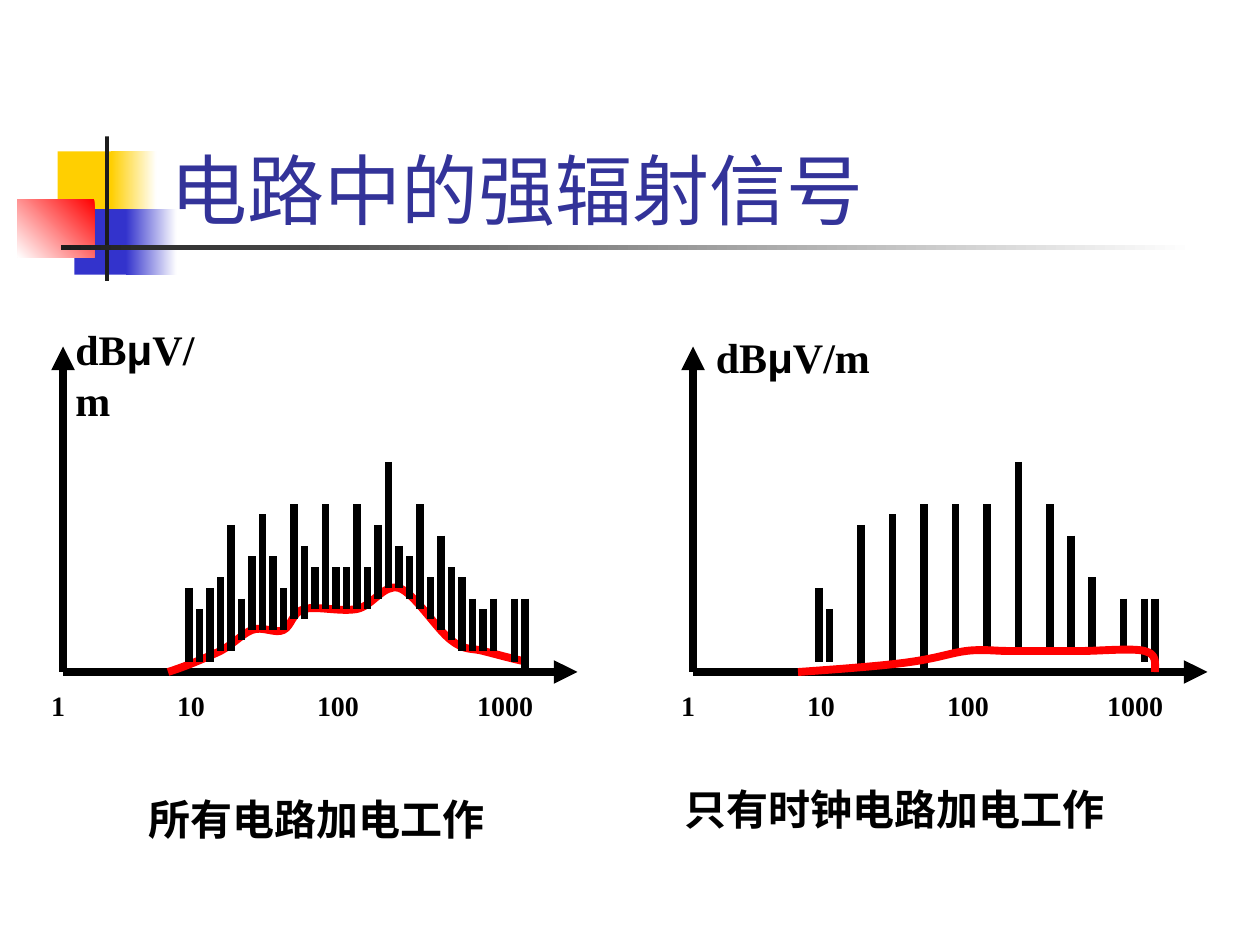
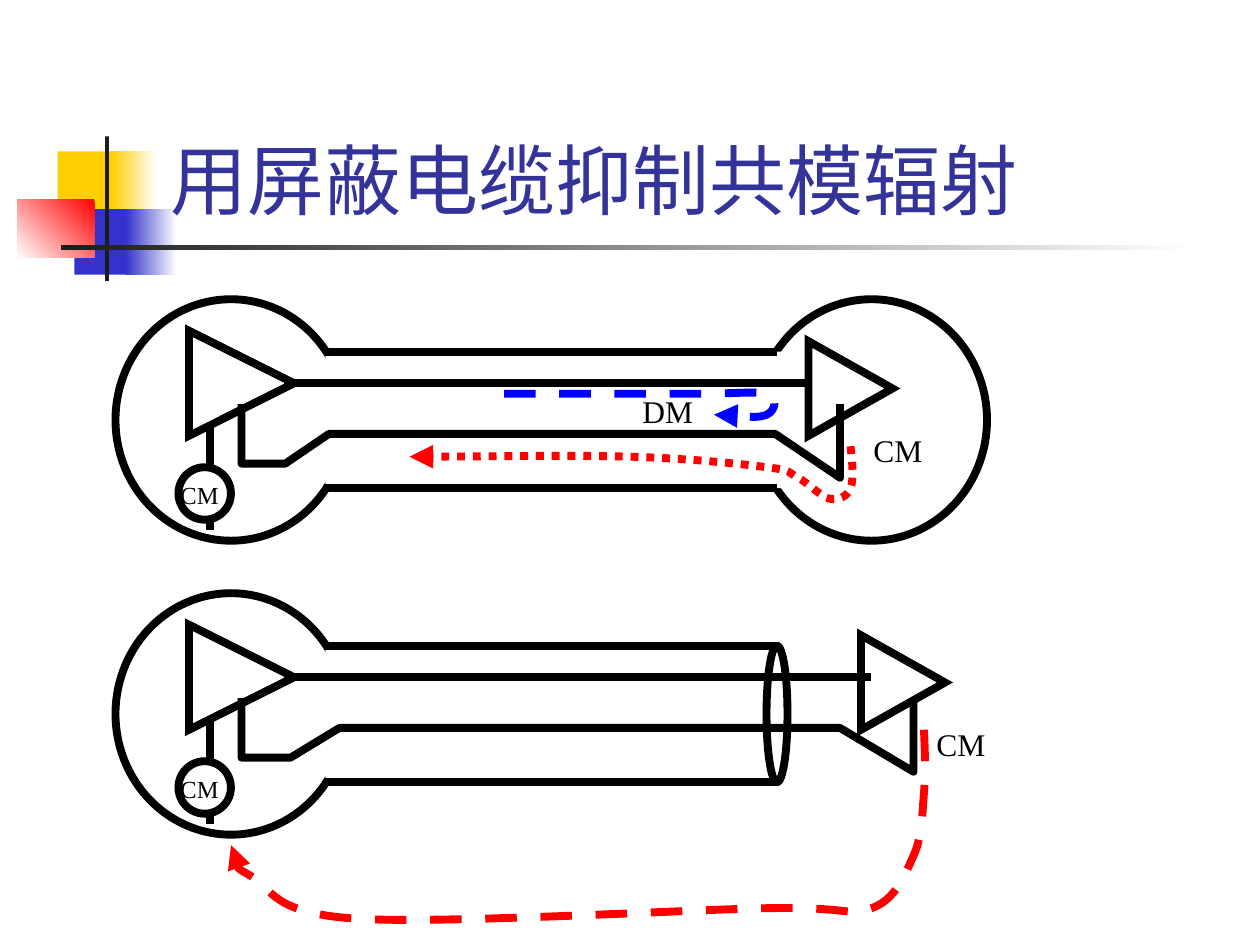
from lxml.etree import SubElement
from pptx import Presentation
from pptx.dml.color import RGBColor
from pptx.enum.dml import MSO_LINE
from pptx.enum.shapes import MSO_CONNECTOR, MSO_SHAPE
from pptx.enum.text import MSO_ANCHOR
from pptx.oxml.ns import qn
from pptx.util import Pt

# Colours, fonts and the common stroke
BLACK = RGBColor(0x00, 0x00, 0x00)
WHITE = RGBColor(0xFF, 0xFF, 0xFF)
RED = RGBColor(0xFF, 0x00, 0x00)
BLUE = RGBColor(0x00, 0x00, 0xFF)
YELLOW = RGBColor(0xFF, 0xCF, 0x01)
INDIGO = RGBColor(0x33, 0x33, 0xCC)
CHARCOAL = RGBColor(0x1C, 0x1C, 0x1C)
TITLE_COLOR = RGBColor(0x33, 0x33, 0x99)
TITLE_FONT = "Cabin"
BODY_FONT = "Times New Roman"
SYMBOL_FONT = "Arial"
STROKE = 4.5

# Spectrum plots: positions count in steps of 6 pt from the origin
STEP = 6
BASELINE = 384
AXIS_HEIGHT, AXIS_LENGTH = 31, 49
DECADE_TABS = (72, 152, 243.5)

# Spectral lines: (column, bottom, top)
ALL_CIRCUITS = [
    (12, 1, 8), (13, 1, 6), (14, 1, 8), (15, 2, 9), (16, 2, 14), (17, 3, 7),
    (18, 4, 11), (19, 4, 15), (20, 4, 11), (21, 4, 8), (22, 5, 16),
    (23, 5, 12), (24, 6, 10), (25, 6, 16), (26, 6, 10), (27, 6, 10),
    (28, 6, 16), (29, 6, 10), (30, 7, 14), (31, 8, 20), (32, 8, 12),
    (33, 7, 11), (34, 6, 16), (35, 5, 9), (36, 4, 13), (37, 3, 10),
    (38, 2, 9), (39, 2, 7), (40, 2, 6), (41, 2, 7), (43, 1, 7), (44, 0, 7),
]
CLOCK_ONLY = [
    (12, 1, 8), (13, 1, 6), (16, 0, 14), (19, 1, 15), (22, 0, 16),
    (25, 2, 16), (28, 2, 16), (31, 2, 20), (34, 2, 16), (36, 2, 13),
    (38, 2, 9), (41, 2, 7), (43, 1, 7), (44, 0, 7),
]

# Curves: a start point, then two control points and an end point per segment
ALL_ENVELOPE = [
    (10, 0), (11.9, 0.6), (13.7, 1.4), (15, 2), (16.3, 2.7), (17, 3.6),
    (18, 4), (19, 4.4), (20.2, 3.6), (21, 4), (21.8, 4.4), (21.8, 5.7),
    (23, 6), (24.1, 6.3), (26.5, 5.7), (28, 6), (29.5, 6.3), (30.5, 8.4),
    (32, 8), (33.5, 7.5), (35.6, 4), (37, 3), (38.3, 2), (38.9, 2.3),
    (40, 2), (41.2, 1.7), (42.6, 1.3), (44, 1),
]
CLOCK_ENVELOPE = [
    (10, 0), (14.2, 0.3), (18.4, 0.6), (21, 1), (23.6, 1.4), (24.5, 1.8),
    (26, 2), (27.5, 2.2), (28.8, 2), (30, 2), (31.2, 2), (31.8, 2), (33, 2),
    (34.2, 2), (35.3, 2), (37, 2), (38.7, 2), (41.9, 2.3), (43, 2),
    (44.2, 1.7), (44, 0.9), (44, 0),
]
DIFFERENTIAL_CURRENT = [
    (288, 225), (330, 225), (371, 225), (396, 225), (421, 225), (431, 223.5),
    (438, 225), (445, 227), (443, 235), (438, 237), (433, 239), (413, 237),
    (408, 237),
]
COMMON_CURRENT = [
    (486, 255), (487, 264), (488, 274), (486, 279), (484, 284), (479, 286),
    (474, 285), (469, 284), (462, 276), (456, 273), (450, 270), (454, 269),
    (438, 267), (422, 265), (394, 262), (360, 261), (326, 260), (280, 261),
    (234, 261),
]
GROUND_CURRENT = [
    (528, 417), (528.5, 429), (529, 441), (528, 453), (527, 465), (527, 478),
    (522, 489), (517, 500), (512, 514), (498, 519), (484, 524), (487, 518),
    (438, 519), (389, 520), (253, 528), (204, 525), (155, 522), (156, 508),
    (144, 501), (132, 494), (132, 488), (132, 483),
]


# Basic elements
def style_line(line, color=BLACK, dash=None, arrow=False):
    line.color.rgb = color
    line.width = Pt(STROKE)
    if dash:
        line.dash_style = dash
    if arrow:
        SubElement(line._get_or_add_ln(), qn("a:tailEnd"), type="triangle")


def add_line(slide, start, end, arrow=False):
    connector = slide.shapes.add_connector(
        MSO_CONNECTOR.STRAIGHT, *map(Pt, start + end))
    style_line(connector.line, arrow=arrow)
    SubElement(connector._element.spPr, qn("a:effectLst"))


def add_block(slide, box, color, fade_angle=None):
    """A borderless rectangle, solid or fading to white."""
    shape = slide.shapes.add_shape(MSO_SHAPE.RECTANGLE, *map(Pt, box))
    shape.shadow.inherit = False
    shape.line.fill.background()
    if fade_angle is None:
        shape.fill.solid()
        shape.fill.fore_color.rgb = color
    else:
        shape.fill.gradient()
        shape.fill.gradient_angle = fade_angle
        for stop, stop_color in zip(shape.fill.gradient_stops, (color, WHITE)):
            stop.color.rgb = stop_color


def add_outline(slide, kind, box):
    shape = slide.shapes.add_shape(kind, *map(Pt, box))
    shape.shadow.inherit = False
    shape.fill.background()
    style_line(shape.line)
    return shape


def add_amplifier(slide, box):
    triangle = add_outline(slide, MSO_SHAPE.ISOSCELES_TRIANGLE, box)
    triangle.rotation = 90
    SubElement(triangle.line._get_or_add_ln(), qn("a:miter"), lim="800000")


def add_polyline(slide, points, color=BLACK, dash=None, arrow=False):
    vertices = [(Pt(x), Pt(y)) for x, y in points]
    builder = slide.shapes.build_freeform(*vertices[0], scale=1.0)
    builder.add_line_segments(vertices[1:], close=False)
    shape = builder.convert_to_shape()
    shape.shadow.inherit = False
    shape.fill.background()
    style_line(shape.line, color, dash, arrow)
    return shape


def add_curve(slide, points, color, dash=None, arrow=False):
    """Turn each three straight segments into one Bézier segment."""
    shape = add_polyline(slide, points, color, dash, arrow)
    outline = shape._element.find(".//" + qn("a:path"))
    segments = outline.findall(qn("a:lnTo"))
    for index in range(0, len(segments), 3):
        bezier = SubElement(outline, qn("a:cubicBezTo"))
        for segment in segments[index:index + 3]:
            bezier.append(segment[0])
            outline.remove(segment)


def format_run(run, size, bold=False, font=BODY_FONT, color=BLACK):
    run.font.size = Pt(size)
    run.font.bold = bold
    run.font.name = font
    run.font.color.rgb = color


def add_text(slide, box, text, size, **run_format):
    text_box = slide.shapes.add_textbox(*map(Pt, box))
    text_frame = text_box.text_frame
    text_frame.word_wrap = True
    text_frame.text = text
    for run in text_frame.paragraphs[0].runs:
        format_run(run, size, **run_format)
    return text_frame


def add_unit_label(slide, box):
    paragraph = add_text(slide, box, "dB", 24, bold=True).paragraphs[0]
    for text, font in (("μ", SYMBOL_FONT), ("V/m", BODY_FONT)):
        run = paragraph.add_run()
        run.text = text
        format_run(run, 24, bold=True, font=font)


# Shared slide frame
def add_titled_slide(presentation, title, title_top):
    slide = presentation.slides.add_slide(presentation.slide_layouts[6])
    add_block(slide, (33, 86.5, 34.5, 37.5), YELLOW)
    add_block(slide, (63.5, 86.5, 26, 37.5), YELLOW, 0)
    add_block(slide, (42.5, 119.5, 33, 37.5), INDIGO)
    add_block(slide, (72, 119.5, 29, 37.5), INDIGO, 0)
    add_block(slide, (10, 113.8, 44, 33.2), RED, 225)
    add_block(slide, (60, 78, 2.3, 82.5), CHARCOAL)
    add_block(slide, (34.8, 140.2, 648, 2.4), CHARCOAL, 0)
    text_frame = add_text(slide, (90.5, title_top, 613.5, 90), title, 44,
                          font=TITLE_FONT, color=TITLE_COLOR)
    text_frame.vertical_anchor = MSO_ANCHOR.BOTTOM
    return slide


# Spectrum plots
def plot_point(origin, column, level):
    return origin + STEP * column, BASELINE - STEP * level


def add_axes(slide, origin):
    corner = plot_point(origin, 0, 0)
    add_line(slide, corner, plot_point(origin, 0, AXIS_HEIGHT), arrow=True)
    add_line(slide, corner, plot_point(origin, AXIS_LENGTH, 0), arrow=True)
    text_frame = add_text(slide, (origin - 18, BASELINE + 6, 318, 27),
                          "1\t10\t100\t1000", 16, bold=True)
    text_frame.margin_left = Pt(11.2)
    properties = text_frame.paragraphs[0]._p.get_or_add_pPr()
    tab_list = SubElement(properties, qn("a:tabLst"))
    for position in DECADE_TABS:
        SubElement(tab_list, qn("a:tab"), pos=str(Pt(position)), algn="l")


def add_spectral_lines(slide, origin, spectral_lines):
    for column, bottom, top in spectral_lines:
        add_line(slide, plot_point(origin, column, top),
                 plot_point(origin, column, bottom))


def add_envelope(slide, origin, points):
    add_curve(slide, [plot_point(origin, *point) for point in points], RED)


def build_spectrum_slide(presentation):
    slide = add_titled_slide(presentation, "电路中的强辐射信号", 48)
    left_origin, right_origin = 36, 396

    add_axes(slide, left_origin)
    add_envelope(slide, left_origin, ALL_ENVELOPE)
    add_spectral_lines(slide, left_origin, ALL_CIRCUITS)
    add_unit_label(slide, (36, 181.5, 102, 36))
    add_text(slide, (78, 450, 270, 36), "所有电路加电工作", 24, bold=True)

    add_axes(slide, right_origin)
    add_spectral_lines(slide, right_origin, CLOCK_ONLY)
    add_envelope(slide, right_origin, CLOCK_ENVELOPE)
    add_unit_label(slide, (402, 186, 108, 36))
    add_text(slide, (384, 444, 306, 36), "只有时钟电路加电工作", 24, bold=True)


# Shielded cable circuits
def add_shield_case(slide, left, top, opening_left):
    add_outline(slide, MSO_SHAPE.OVAL, (left, top, 132, 138))
    add_block(slide, (opening_left, top + 30, 30, 78), WHITE)


def add_cable_circuit(slide, top, receiver_left, signal_end, bends, label_left):
    """Shielded driver, cable and receiver; bends are the return wire's x."""
    add_shield_case(slide, 66, top, 186)
    add_amplifier(slide, (108, top + 18, 60, 60))
    add_amplifier(slide, (receiver_left, top + 27, 54, 48))
    for start, end, offset in ((186, 444, 30), (186, 444, 108),
                               (162, signal_end, 48)):
        add_line(slide, (start, top + offset), (end, top + offset))
    heights = (60, 94, 94, 77, 77, 102, 60)
    add_polyline(slide, [(x, top + y) for x, y in zip(bends, heights)])

    # Common-mode source
    add_outline(slide, MSO_SHAPE.OVAL, (102, top + 96, 30, 30))
    add_line(slide, (120, top + 72), (120, top + 96))
    add_line(slide, (120, top + 126), (120, top + 132))
    add_text(slide, (96, top + 99.7, 48, 24), "CM", 14)
    add_text(slide, (label_left, top + 72, 48, 29), "CM", 18)


def build_cable_slide(presentation):
    slide = add_titled_slide(presentation, "用屏蔽电缆抑制共模辐射", 42)

    # Shield closed at both ends
    add_shield_case(slide, 432, 171, 420)
    add_cable_circuit(slide, 171, 459, 462,
                      (138, 138, 163, 188, 443, 480, 480), 492)
    add_curve(slide, DIFFERENTIAL_CURRENT, BLUE, MSO_LINE.DASH, arrow=True)
    add_curve(slide, COMMON_CURRENT, RED, MSO_LINE.ROUND_DOT, arrow=True)
    add_text(slide, (360, 220.5, 48, 29), "DM", 18)

    # Shield open at the receiver
    add_cable_circuit(slide, 339, 489, 498,
                      (138, 138, 166, 194, 480, 522, 522), 528)
    add_outline(slide, MSO_SHAPE.OVAL, (438, 369, 12, 78))
    add_curve(slide, GROUND_CURRENT, RED, MSO_LINE.DASH, arrow=True)


def main():
    presentation = Presentation()
    presentation.slide_width = Pt(720)
    presentation.slide_height = Pt(540)
    build_spectrum_slide(presentation)
    build_cable_slide(presentation)
    presentation.save("out.pptx")


if __name__ == "__main__":
    main()
